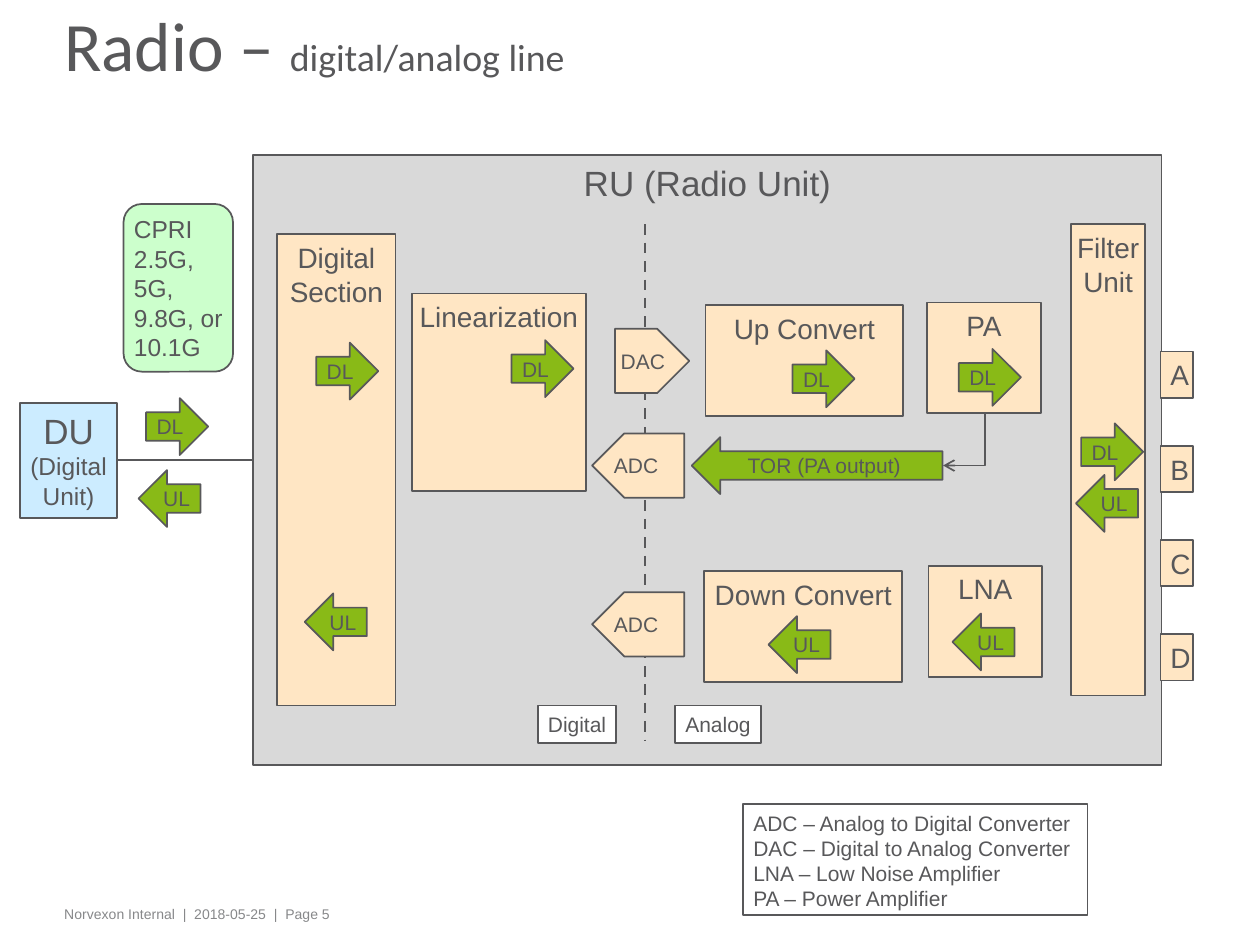
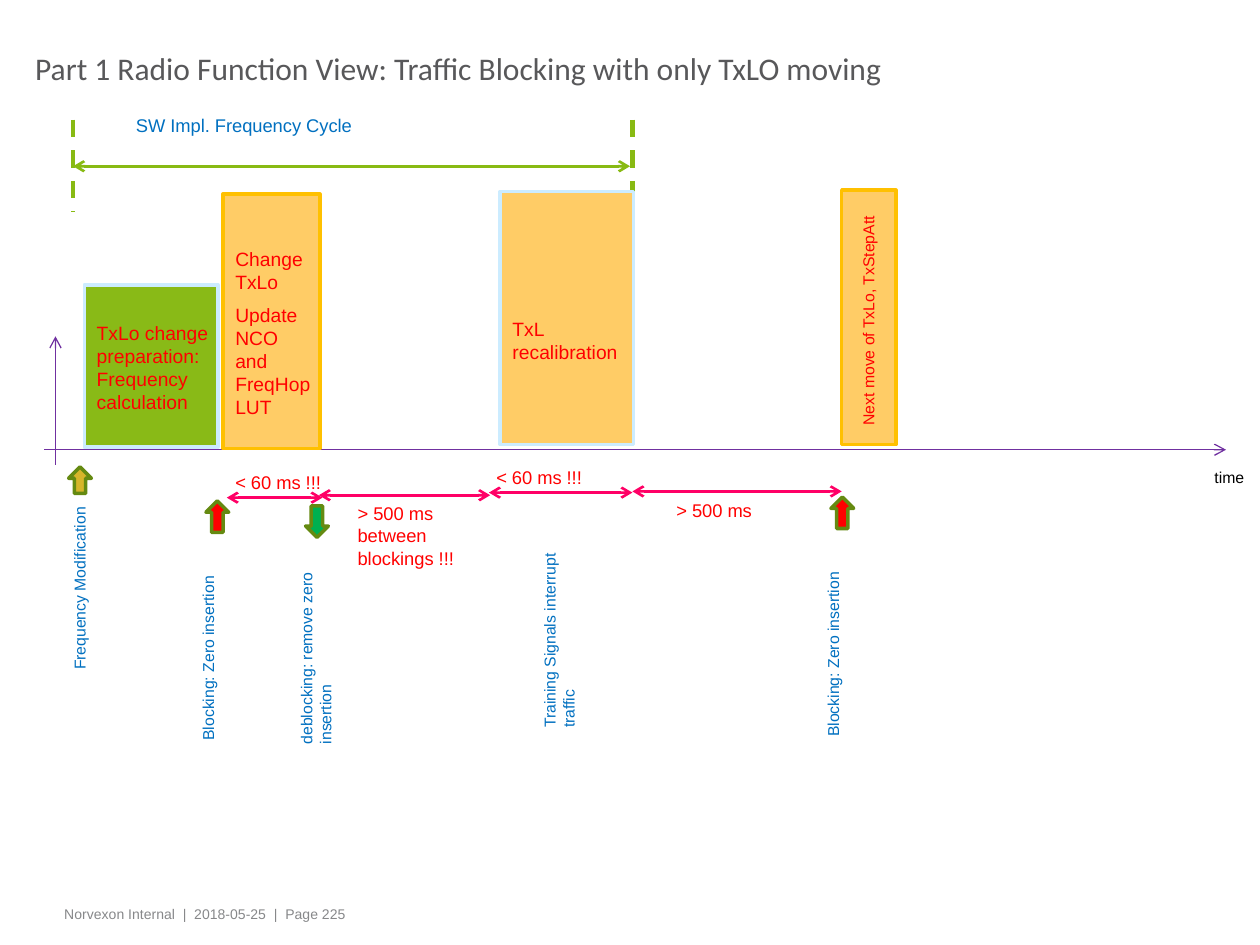
import copy

import pptx
import pptx.dml.color
import pptx.enum.dml
import pptx.enum.shapes
import pptx.enum.text
import pptx.oxml.ns
import pptx.util

Pt = pptx.util.Pt
qn = pptx.oxml.ns.qn
RGB = pptx.dml.color.RGBColor.from_string
SHAPE = pptx.enum.shapes.MSO_SHAPE
CONNECTOR = pptx.enum.shapes.MSO_CONNECTOR
ALIGN = pptx.enum.text.PP_ALIGN
ANCHOR = pptx.enum.text.MSO_ANCHOR
DASH = pptx.enum.dml.MSO_LINE.DASH

COLORS = {
    "grey": "58585A", "footer": "87888A", "panel": "D9D9D9", "white": "FFFFFF",
    "black": "000000", "sky": "CCECFF", "mint": "CCFFCC", "cream": "FFE6C4",
    "green": "89BA17", "cycle": "88BA13", "olive": "658A11", "mustard": "D6B52A",
    "amber": "FFCC66", "gold": "FFC000", "red": "FF0000", "blue": "0070C0",
    "pink": "FF0066", "purple": "7030A0", "emerald": "00B050",
}


def add_block(page, kind, frame, text="", size=12, color="grey", fill="cream", line="grey",
              weight=1, align=ALIGN.CENTER, anchor=ANCHOR.TOP, insets=(5.7, 3.6),
              wrap=False, flip=False, rotation=0):
    lengths = [Pt(value) for value in frame]
    if kind is None:
        box = page.shapes.add_textbox(*lengths)
    else:
        box = page.shapes.add_shape(kind, *lengths)
        box.shadow.inherit = False
        box.fill.solid()
        box.fill.fore_color.rgb = RGB(COLORS[fill])
        box.line.color.rgb = RGB(COLORS[line])
        box.line.width = Pt(weight)
    box.rotation = rotation
    if flip:
        box._element.spPr.find(qn("a:xfrm")).set("flipH", "1")
    if not text:
        return box
    body = box.text_frame
    body.text = text
    body.word_wrap = wrap
    body.vertical_anchor = anchor
    body.margin_left = body.margin_right = Pt(insets[0])
    body.margin_top = body.margin_bottom = Pt(insets[1])
    for index, para in enumerate(body.paragraphs):
        para.alignment = align
        if index:
            para.space_before = Pt(5.7)
        for span in para.runs:
            span.font.name = "Arial"
            span.font.size = Pt(size)
            span.font.color.rgb = RGB(COLORS[color])
        for line_break in para._p.findall(qn("a:br")):
            line_break.append(copy.deepcopy(para.runs[0].font._rPr))
    return box


def add_line(page, start, end, color="grey", weight=1.0, dash=None, arrows=(),
             kind=CONNECTOR.STRAIGHT):
    lengths = [Pt(value) for value in (*start, *end)]
    connector = page.shapes.add_connector(kind, *lengths)
    connector.line.color.rgb = RGB(COLORS[color])
    connector.line.width = Pt(weight)
    if dash:
        connector.line.dash_style = dash
    outline = connector.line._get_or_add_ln()
    for arrow in arrows:
        outline.append(outline.makeelement(qn(f"a:{arrow}"), {"type": "arrow"}))
    properties = connector._element.spPr
    properties.append(properties.makeelement(qn("a:effectLst"), {}))
    return connector


deck = pptx.Presentation()
deck.slide_width = Pt(720)
deck.slide_height = Pt(540)

headings = [
    ((31, 10.8, 616.3, 38.9), [("Radio – ", 39.6), ("digital/analog line", 21.6)], 5),
    ((14.4, 21.6, 691.9, 38.9),
     [("Part 1 Radio Function View: Traffic Blocking with only TxLO moving", 18)], 225),
]
pages = []
for frame, parts, number in headings:
    page = deck.slides.add_slide(deck.slide_layouts[5])
    title = page.shapes.title
    title.left, title.top, title.width, title.height = [Pt(value) for value in frame]
    body = title.text_frame
    body.auto_size = pptx.enum.text.MSO_AUTO_SIZE.NONE
    body.word_wrap = True
    body.vertical_anchor = ANCHOR.MIDDLE
    body.margin_left = body.margin_right = Pt(5.7)
    body.margin_top = body.margin_bottom = 0
    para = body.paragraphs[0]
    para.alignment = ALIGN.LEFT
    para.line_spacing = 0.75
    for words, size in parts:
        span = para.add_run()
        span.text = words
        span.font.name = "Calibri"
        span.font.size = Pt(size)
        span.font.color.rgb = RGB(COLORS["grey"])
    add_block(page, None, (31, 514, 582.5, 17.3),
              f"Norvexon Internal  |  2018-05-25  |  Page {number}",
              size=8, color="footer", align=ALIGN.LEFT, wrap=True)
    pages.append(page)
radio, timeline = pages

digital_unit = add_block(radio, SHAPE.RECTANGLE, (11.5, 230.4, 55.4, 65.5),
                         "DU\v(Digital\vUnit)", size=14, fill="sky")
digital_unit.text_frame.paragraphs[0].runs[0].font.size = Pt(20)
add_block(radio, SHAPE.RECTANGLE, (144.7, 88.6, 519.1, 348.5), "RU (Radio Unit)",
          size=20, fill="panel")
add_line(radio, (67, 262.8), (144.7, 262.8))
add_block(radio, SHAPE.ROUNDED_RECTANGLE, (70.6, 116.6, 62.6, 95.8),
          "CPRI\v2.5G,\v5G,\v9.8G, or\v10.1G", size=14, fill="mint",
          align=ALIGN.LEFT, insets=(2.9, 2.9))

stages = [
    ("Digital\vSection", 158.4, 133.9, 67.7, 269.3),
    ("Linearization", 235.4, 167.8, 99.4, 113),
    ("Up Convert", 403.2, 174.2, 113, 63.4),
    ("PA", 529.9, 172.8, 64.8, 63.4),
    ("LNA", 530.6, 323.3, 64.8, 63.4),
    ("Down Convert", 402.5, 326.2, 113, 63.4),
    ("Filter\vUnit", 612, 128.2, 42.5, 269.3),
]
for name, *frame in stages:
    add_block(radio, SHAPE.RECTANGLE, frame, name, size=16)

for index, port in enumerate("ABCD"):
    add_block(radio, SHAPE.RECTANGLE, (663.1, 200.9 + 53.8 * index, 18.7, 26.6), port,
              size=16, anchor=ANCHOR.MIDDLE, wrap=True)

directions = {
    "DL": [(83.5, 227.5), (180.7, 195.8), (292.3, 194.4), (452.9, 200.2),
           (547.9, 199.4), (617.8, 241.9)],
    "UL": [(79.2, 268.6), (174.2, 339.1), (439.2, 352.1), (544.3, 350.6),
           (614.9, 271.4)],
}
signals = [(name, left, top, 35.5) for name, places in directions.items()
           for left, top in places]
signals.append(("TOR (PA output)", 395.3, 249.8, 143.3))
for name, left, top, width in signals:
    add_block(radio, SHAPE.RIGHT_ARROW, (left, top, width, 32.5), name, fill="green",
              anchor=ANCHOR.MIDDLE, insets=(0, 0), flip=name != "DL")

add_line(radio, (368.6, 128.2), (368.6, 423.4), weight=1.5, dash=DASH)
converters = [("DAC", 351.4, 187.9, 42.5), ("ADC", 338.4, 247.7, 52.6),
              ("ADC", 338.4, 338.4, 52.6)]
for name, left, top, width in converters:
    converter = add_block(radio, SHAPE.PENTAGON, (left, top, width, 36.7), name,
                          align=ALIGN.LEFT, anchor=ANCHOR.MIDDLE, insets=(0, 0),
                          flip=name == "ADC")
    para = converter.text_frame.paragraphs[0]
    para._p.get_or_add_pPr().set("marL", str(Pt(3.3)))

captions = [
    ("Digital", 307.4, 403.2, 44.6, 21.6),
    ("Analog", 385.9, 403.2, 49, 21.6),
    ("ADC – Analog to Digital Converter\vDAC – Digital to Analog Converter\v"
     "LNA – Low Noise Amplifier\vPA – Power Amplifier", 424.8, 459.4, 196.6, 63.4),
]
for words, *frame in captions:
    add_block(radio, SHAPE.RECTANGLE, frame, words, fill="white", align=ALIGN.LEFT)

feedback = add_line(radio, (535.7, 239), (565.9, 262.8), arrows=["tailEnd"],
                    kind=CONNECTOR.ELBOW)
feedback._element.spPr.find(qn("a:prstGeom")).set("prst", "bentConnector2")
feedback._element.spPr.find(qn("a:xfrm")).set("rot", "5400000")

for start, end in [((25.2, 257), (700.6, 257)), ((31.7, 265.7), (31.7, 192.2))]:
    add_line(timeline, start, end, "purple", 0.75, arrows=["tailEnd"])

for edge in (41.8, 361.4):
    add_line(timeline, (edge, 68.4), (edge, 121), "cycle", 2.5, dash=DASH)
spans = [(41.8, 360, 95, "cycle"), (129.6, 184.3, 284.4, "pink"),
         (182.2, 280.1, 283, "pink"), (279.4, 361.4, 281.5, "pink"),
         (361.4, 481, 280.8, "pink")]
for left, right, height, color in spans:
    add_line(timeline, (left, height), (right, height), color, 1.5,
             arrows=["headEnd", "tailEnd"])

bars = [
    ("green", "sky", 48.2, 162.7, 76.3, 92.9),
    ("amber", "gold", 127.4, 110.9, 55.4, 145.4),
    ("amber", "sky", 285.8, 109.4, 76.3, 144.7),
    ("amber", "gold", 481, 108.7, 31, 145.4),
]
for fill, line, *frame in bars:
    add_block(timeline, SHAPE.RECTANGLE, frame, fill=fill, line=line, weight=2)

markers = [
    (SHAPE.UP_ARROW, "mustard", 39.2, 266.8, 15.1),
    (SHAPE.UP_ARROW, "red", 117.7, 286.2, 18),
    (SHAPE.DOWN_ARROW, "emerald", 174.6, 289.1, 18),
    (SHAPE.UP_ARROW, "red", 474.8, 284, 18),
]
for kind, fill, left, top, height in markers:
    add_block(timeline, kind, (left, top, 13, height), fill=fill, line="olive", weight=2)

labels = [
    ("TxLo change preparation: Frequency calculation", 11, "red", 0, 48.2, 180, 82.1, 55.4),
    ("Change TxLo\nUpdate NCO and FreqHop LUT", 11, "red", 0, 127.4, 137.5, 59.8, 119.5),
    ("TxL recalibration", 11, "red", 0, 285.8, 177.8, 82.1, 33.8),
    ("SW Impl. Frequency Cycle", 10.5, "blue", 0, 70.6, 61.9, 209.5, 32.4),
    ("< 60 ms !!!", 10.5, "red", 0, 127.4, 265.7, 69.8, 20),
    ("> 500 ms between blockings !!!", 10.5, "red", 0, 197.3, 283.7, 77, 45.4),
    ("< 60 ms !!!", 10.5, "red", 0, 276.5, 262.8, 85, 20),
    ("> 500 ms", 10.5, "red", 0, 379.4, 281.5, 94.3, 20),
    ("time", 9, "black", 0, 686.9, 263.5, 35.3, 29.5),
    ("Next move of TxLo, TxStepAtt", 9, "red", 270, 427.7, 172.8, 136.8, 18),
    ("Frequency Modification", 9, "blue", 270, -9.4, 326.2, 109.4, 18),
    ("Blocking: Zero insertion", 9, "blue", 270, 63.4, 355, 121.7, 28.8),
    ("deblocking: remove zero insertion", 9, "blue", 270, 119.5, 357.1, 121.7, 28.8),
    ("Training Signals interrupt traffic", 9, "blue", 270, 258.5, 347.8, 121.7, 28.8),
    ("Blocking: Zero insertion", 9, "blue", 270, 420.5, 352.8, 121.7, 28.8),
]
for words, size, color, rotation, *frame in labels:
    add_block(timeline, None, frame, words, size=size, color=color, align=ALIGN.LEFT,
              insets=(7.2, 3.6), wrap=words != "time", rotation=rotation)

deck.save("out.pptx")
